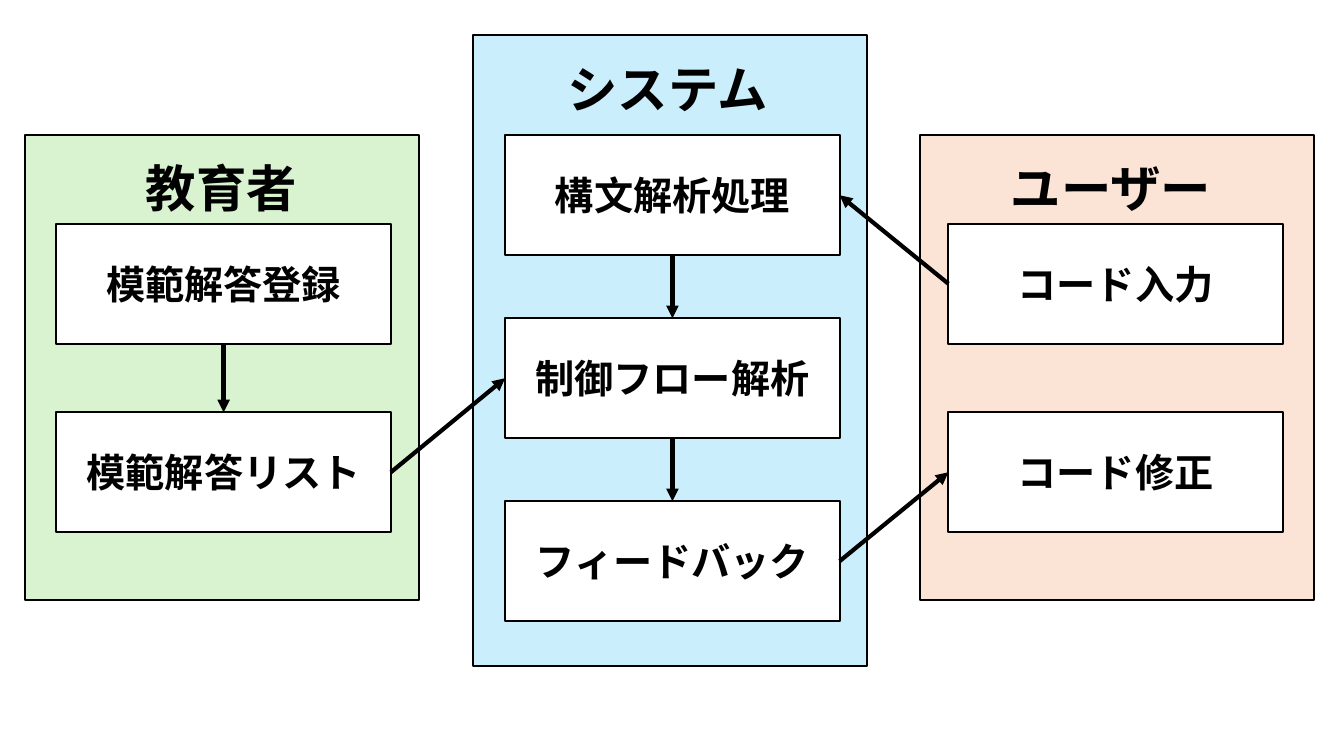
from lxml import etree
from pptx import Presentation
from pptx.dml.color import RGBColor
from pptx.enum.shapes import MSO_CONNECTOR, MSO_SHAPE
from pptx.enum.text import MSO_ANCHOR, MSO_AUTO_SIZE, PP_ALIGN
from pptx.oxml.ns import qn
from pptx.util import Cm, Pt

RECTANGLE = MSO_SHAPE.RECTANGLE
STRAIGHT = MSO_CONNECTOR.STRAIGHT
CENTER = PP_ALIGN.CENTER
MIDDLE = MSO_ANCHOR.MIDDLE
FIT_SHAPE = MSO_AUTO_SIZE.SHAPE_TO_FIT_TEXT

BLACK = RGBColor(0x00, 0x00, 0x00)
WHITE = RGBColor(0xFF, 0xFF, 0xFF)
GREEN = RGBColor(0xD9, 0xF2, 0xD0)
BLUE = RGBColor(0xCA, 0xEE, 0xFB)
ORANGE = RGBColor(0xFB, 0xE3, 0xD6)

# Connection sites of a rectangle
TOP, LEFT, BOTTOM, RIGHT = range(4)

PANEL_WIDTH = 9.93
STEP_WIDTH, STEP_HEIGHT = 8.43, 3.02
HEADING_DROP, HEADING_HEIGHT = 0.44, 1.8
SIDE_TOP, SIDE_HEIGHT = 3.4, 11.73
SIDE_FIRST, SIDE_PITCH = 5.64, 4.75

# Panel: colour, left, top, height; heading: text, left, width;
# steps: left, first top, pitch, labels
ROLES = [
    (GREEN, 0.64, SIDE_TOP, SIDE_HEIGHT, "教育者", 3.43, 4.42,
     1.42, SIDE_FIRST, SIDE_PITCH, ["模範解答登録", "模範解答リスト"]),
    (BLUE, 11.91, 0.89, 15.9, "システム", 14.05, 5.79,
     12.73, 3.41, 4.61, ["構文解析処理", "制御フロー解析", "フィードバック"]),
    (ORANGE, 23.19, SIDE_TOP, SIDE_HEIGHT, "ユーザー", 25.22, 5.79,
     23.9, SIDE_FIRST, SIDE_PITCH, ["コード入力", "コード修正"]),
]

FLOWS = [
    ("模範解答登録", BOTTOM, "模範解答リスト", TOP),
    ("構文解析処理", BOTTOM, "制御フロー解析", TOP),
    ("制御フロー解析", BOTTOM, "フィードバック", TOP),
    ("模範解答リスト", RIGHT, "制御フロー解析", LEFT),
    ("コード入力", LEFT, "構文解析処理", RIGHT),
    ("フィードバック", RIGHT, "コード修正", LEFT),
]


class FlowSlide:
    font = "Noto Sans CJK JP"
    heading_size = Pt(36)
    step_size = Pt(28)
    border = Pt(1.5)
    arrow_width = Pt(3)

    def __init__(self, slide):
        self.shapes = slide.shapes

    def add_text(self, paragraph, text, size):
        run = paragraph.add_run()
        run.text = text
        run.font.size = size
        run.font.bold = True
        run.font.color.rgb = BLACK
        run.font.name = self.font
        east_asian = etree.SubElement(run.font._element, qn("a:ea"))
        east_asian.set("typeface", self.font)

    def panel(self, left, top, width, height, color):
        panel = self.shapes.add_shape(
            RECTANGLE, Cm(left), Cm(top), Cm(width), Cm(height))
        panel.shadow.inherit = False
        panel.fill.solid()
        panel.fill.fore_color.rgb = color
        panel.line.color.rgb = BLACK
        panel.line.width = self.border
        return panel

    def step(self, left, top, label):
        step = self.panel(left, top, STEP_WIDTH, STEP_HEIGHT, WHITE)
        frame = step.text_frame
        frame.vertical_anchor = MIDDLE
        frame.paragraphs[0].alignment = CENTER
        self.add_text(frame.paragraphs[0], label, self.step_size)
        return step

    def heading(self, left, top, width, text):
        heading = self.shapes.add_textbox(
            Cm(left), Cm(top), Cm(width), Cm(HEADING_HEIGHT))
        frame = heading.text_frame
        frame.word_wrap = True
        frame.auto_size = FIT_SHAPE
        self.add_text(frame.paragraphs[0], text, self.heading_size)

    def arrow(self, source, source_site, target, target_site):
        arrow = self.shapes.add_connector(STRAIGHT, 0, 0, 0, 0)
        arrow.begin_connect(source, source_site)
        arrow.end_connect(target, target_site)
        arrow.line.color.rgb = BLACK
        arrow.line.width = self.arrow_width
        properties = arrow._element.spPr
        head = etree.SubElement(properties.find(qn("a:ln")), qn("a:tailEnd"))
        head.set("type", "triangle")
        etree.SubElement(properties, qn("a:effectLst"))


def main():
    deck = Presentation()
    deck.slide_width, deck.slide_height = Cm(33.87), Cm(19.05)
    blank = deck.slide_layouts[6]
    flow = FlowSlide(deck.slides.add_slide(blank))

    steps = {}
    for (color, left, top, height, title, title_left, title_width,
         step_left, first_top, pitch, labels) in ROLES:
        flow.panel(left, top, PANEL_WIDTH, height, color)
        flow.heading(title_left, top + HEADING_DROP, title_width, title)
        for row, label in enumerate(labels):
            steps[label] = flow.step(step_left, first_top + row * pitch, label)

    for source, source_site, target, target_site in FLOWS:
        flow.arrow(steps[source], source_site, steps[target], target_site)

    deck.save("out.pptx")


if __name__ == "__main__":
    main()
